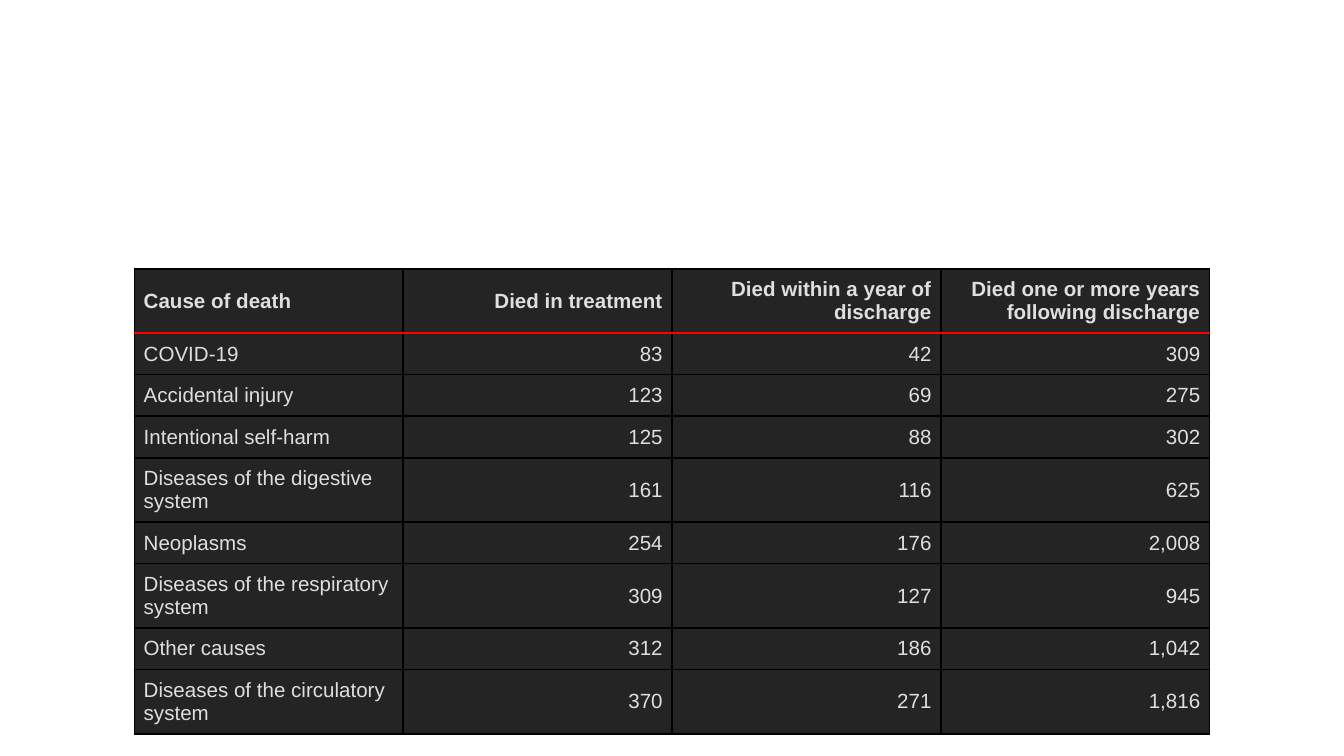
from pptx import Presentation
from pptx import util as u
from pptx.dml.color import RGBColor
from pptx.enum import text
from pptx.oxml import parse_xml
from pptx.oxml.ns import nsdecls

DARK = RGBColor(0x24, 0x24, 0x24)
PALE = RGBColor(0xDF, 0xDF, 0xDF)
RED = RGBColor(0xFF, 0x00, 0x00)
PAD = u.Pt(5)

rows = [
    ("Cause of death", "Died in treatment",
     "Died within a year of discharge",
     "Died one or more years following discharge"),
    ("COVID-19", "83", "42", "309"),
    ("Accidental injury", "123", "69", "275"),
    ("Intentional self-harm", "125", "88", "302"),
    ("Diseases of the digestive system", "161", "116", "625"),
    ("Neoplasms", "254", "176", "2,008"),
    ("Diseases of the respiratory system", "309", "127", "945"),
    ("Other causes", "312", "186", "1,042"),
    ("Diseases of the circulatory system", "370", "271", "1,816"),
]


def write(cell, words, bold=False, align=text.PP_ALIGN.LEFT):
    """Put words in a cell, padded by the same amount on all sides."""
    cell.fill.solid()
    cell.fill.fore_color.rgb = DARK
    cell.vertical_anchor = text.MSO_ANCHOR.MIDDLE
    cell.margin_left = cell.margin_right = 0
    cell.margin_top = cell.margin_bottom = PAD
    para = cell.text_frame.paragraphs[0]
    para.alignment = align
    para.space_before = para.space_after = PAD
    props = para._p.get_or_add_pPr()
    for side in ("marL", "marR"):
        props.set(side, str(int(PAD)))
    props.set("indent", "0")
    run = para.add_run()
    run.text = words
    font = run.font
    font.name, font.size, font.bold = "Arial", u.Pt(11), bold
    font.color.rgb = PALE


def rule(cell):
    """Draw the red line below a header cell."""
    cell._tc.get_or_add_tcPr().insert(0, parse_xml(
        f'<a:lnB {nsdecls("a")} w="{u.Pt(1.5)}"><a:solidFill>'
        f'<a:srgbClr val="{RED}"/></a:solidFill></a:lnB>'))


# Slide
deck = Presentation()
deck.slide_width, deck.slide_height = u.Cm(25.4), u.Cm(14.29)
slide = deck.slides.add_slide(deck.slide_layouts[6])

# Table without a style
frame = slide.shapes.add_table(len(rows), len(rows[0]), u.Cm(2.54),
                               u.Cm(5.08), u.Cm(20.32), u.Cm(5.72))
table = frame.table
table.first_row = table.horz_banding = False
style = table._tbl.tblPr
for child in list(style):
    style.remove(child)

# Column and row sizes
for col in table.columns:
    col.width = u.Cm(5.08)
for row in table.rows:
    row.height = u.Cm(0.64)
frame.width, frame.height = u.Cm(25.4), u.Cm(15.24)

# Cells: names on the left, figures on the right
for r, row in enumerate(rows):
    for c, words in enumerate(row):
        cell = table.cell(r, c)
        side = text.PP_ALIGN.RIGHT if c else text.PP_ALIGN.LEFT
        write(cell, words, bold=r == 0, align=side)
        if r == 0:
            rule(cell)

deck.save("out.pptx")
